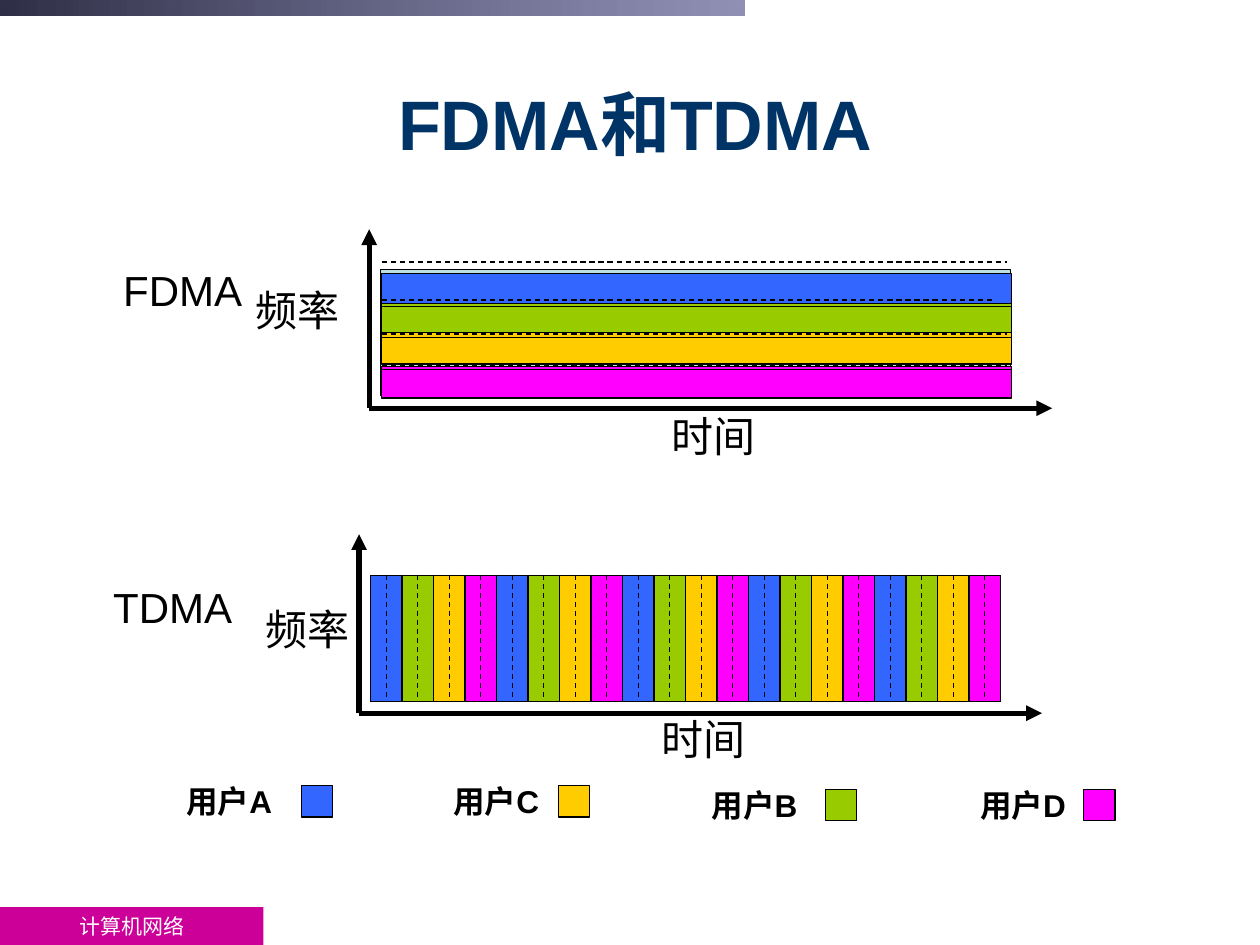
from lxml import etree
from pptx import Presentation
from pptx.dml.color import RGBColor
from pptx.enum.dml import MSO_LINE
from pptx.enum.shapes import MSO_CONNECTOR, MSO_SHAPE
from pptx.enum.text import MSO_ANCHOR, MSO_AUTO_SIZE, PP_ALIGN
from pptx.oxml.ns import qn
from pptx.util import Pt

RECT = MSO_SHAPE.RECTANGLE
STRAIGHT = MSO_CONNECTOR.STRAIGHT
DASH = MSO_LINE.DASH
LEFT, CENTER = PP_ALIGN.LEFT, PP_ALIGN.CENTER
TOP, MIDDLE = MSO_ANCHOR.TOP, MSO_ANCHOR.MIDDLE
GROW = MSO_AUTO_SIZE.SHAPE_TO_FIT_TEXT

COLORS = {
    "A": "3366FF", "B": "99CC00", "C": "FFCC00", "D": "FF00FF",
    "base": "BBE0E3", "black": "000000", "white": "FFFFFF",
    "title": "003366", "footer": "CC0099",
    "bar_start": "2F2F47", "bar_end": "666699",
}
USERS = "ABCD"
UNIT = 18
BAND_W, BAND_H = 360, 72


def rgb(name):
    return RGBColor.from_string(COLORS[name])


def add_rect(s, x, y, w, h, fill, outlined=True):
    sp = s.shapes.add_shape(RECT, Pt(x), Pt(y), Pt(w), Pt(h))
    sp.shadow.inherit = False
    sp.fill.solid()
    sp.fill.fore_color.rgb = rgb(fill)
    if outlined:
        sp.line.color.rgb = rgb("black")
        sp.line.width = Pt(0.75)
    else:
        sp.line.fill.background()
    return sp


def add_line(s, x1, y1, x2, y2, width=0.75, dash=None, arrow=False):
    sp = s.shapes.add_connector(STRAIGHT, Pt(x1), Pt(y1), Pt(x2), Pt(y2))
    sp.line.color.rgb = rgb("black")
    sp.line.width = Pt(width)
    if dash:
        sp.line.dash_style = dash
    if arrow:
        ln = sp._element.spPr.find(qn("a:ln"))
        etree.SubElement(ln, qn("a:tailEnd"), type="triangle")
    etree.SubElement(sp._element.spPr, qn("a:effectLst"))


def write(sp, text, size, color="black", font="Arial", bold=False, align=LEFT,
          anchor=TOP, wrap=True):
    tf = sp.text_frame
    tf.text = text
    tf.word_wrap = wrap
    tf.vertical_anchor = anchor
    if not wrap:
        tf.auto_size = GROW
    p = tf.paragraphs[0]
    p.alignment = align
    r = p.runs[0]
    r.font.size = Pt(size)
    r.font.name = font
    r.font.bold = bold
    r.font.color.rgb = rgb(color)


def add_text(s, x, y, w, h, text, size, **style):
    sp = s.shapes.add_textbox(Pt(x), Pt(y), Pt(w), Pt(h))
    write(sp, text, size, **style)


def add_frame(s):
    footer = add_rect(s, 0, 518.4, 150.5, 21.6, "footer", outlined=False)
    write(footer, "计算机网络", 12, color="white", font="Times New Roman",
          align=CENTER, anchor=MIDDLE)
    bar = add_rect(s, 0, 0, 425.5, 8.64, "bar_start", outlined=False)
    bar.fill.gradient()
    bar.fill.gradient_angle = 0
    for stop, name in zip(bar.fill.gradient_stops, ("bar_start", "bar_end")):
        stop.color.rgb = rgb(name)
    end_color = bar._element.spPr.findall(".//" + qn("a:srgbClr"))[-1]
    etree.SubElement(end_color, qn("a:alpha"), val="72000")


def add_axes(s, x, y):
    add_line(s, x, y, x, y - 102.24, width=3, arrow=True)
    add_line(s, x, y, x + 390.24, y, width=3, arrow=True)


def add_labels(s, name, name_at, freq_at, time_at):
    for text, (x, y), w in ((name, name_at, 82.5), ("频率", freq_at, 62.4),
                            ("时间", time_at, 62.4)):
        add_text(s, x, y, w, 36, text, 24, wrap=False)


def add_fdma(s):
    add_axes(s, 210.96, 233.28)
    add_labels(s, "FDMA", (63.36, 147.6), (138.96, 159.12), (376.56, 231.12))
    x = 218.16
    add_rect(s, 217.44, 154.08, BAND_W, BAND_H, "base")
    for user, y in zip(USERS, (156.24, 173.52, 190.08, 209.52)):
        add_rect(s, x, y, BAND_W, UNIT, user)
    for i in range(3):
        y = 174.96 + i * UNIT
        add_line(s, x, y, x + BAND_W, y)
    for y, x2 in ((149.76, 575.28), (171.36, 567.36),
                  (190.8, 575.28), (208.8, 575.28)):
        add_line(s, x, y, x2, y, dash=DASH)


def add_tdma(s):
    add_axes(s, 205.2, 407.52)
    add_labels(s, "TDMA", (57.6, 329.04), (144.72, 341.28), (370.8, 403.92))
    x, y = 211.68, 329.04
    slots = BAND_W // UNIT
    add_rect(s, x, y, BAND_W, BAND_H, "base")
    for i in range(slots):
        add_rect(s, x + i * UNIT, y, UNIT, BAND_H, USERS[i % len(USERS)])
    top = y - 0.72
    for i in range(1, slots):
        add_line(s, x + i * UNIT, top, x + i * UNIT, top + BAND_H)
    for i in range(slots):
        mid = x + (i + 0.5) * UNIT
        add_line(s, mid, top, mid, top + BAND_H, dash=DASH)


def add_legend(s):
    for user, text_x, box_x, y in (("A", 99.36, 172.08, 443.52),
                                   ("C", 252, 318.96, 443.52),
                                   ("B", 399.6, 471.6, 445.68),
                                   ("D", 552.96, 619.2, 445.68)):
        add_rect(s, box_x, y + 5.4, UNIT, UNIT, user)
        add_text(s, text_x, y, 90, 28.8, "用户" + user, 18, bold=True)


def main():
    prs = Presentation()
    prs.slide_width, prs.slide_height = Pt(720), Pt(540)
    s = prs.slides.add_slide(prs.slide_layouts[6])
    add_frame(s)
    add_text(s, 178.56, 37.44, 368.64, 64.8, "FDMA和TDMA", 40, color="title",
             bold=True, align=CENTER, anchor=MIDDLE)
    add_fdma(s)
    add_tdma(s)
    add_legend(s)
    prs.save("out.pptx")


if __name__ == "__main__":
    main()
